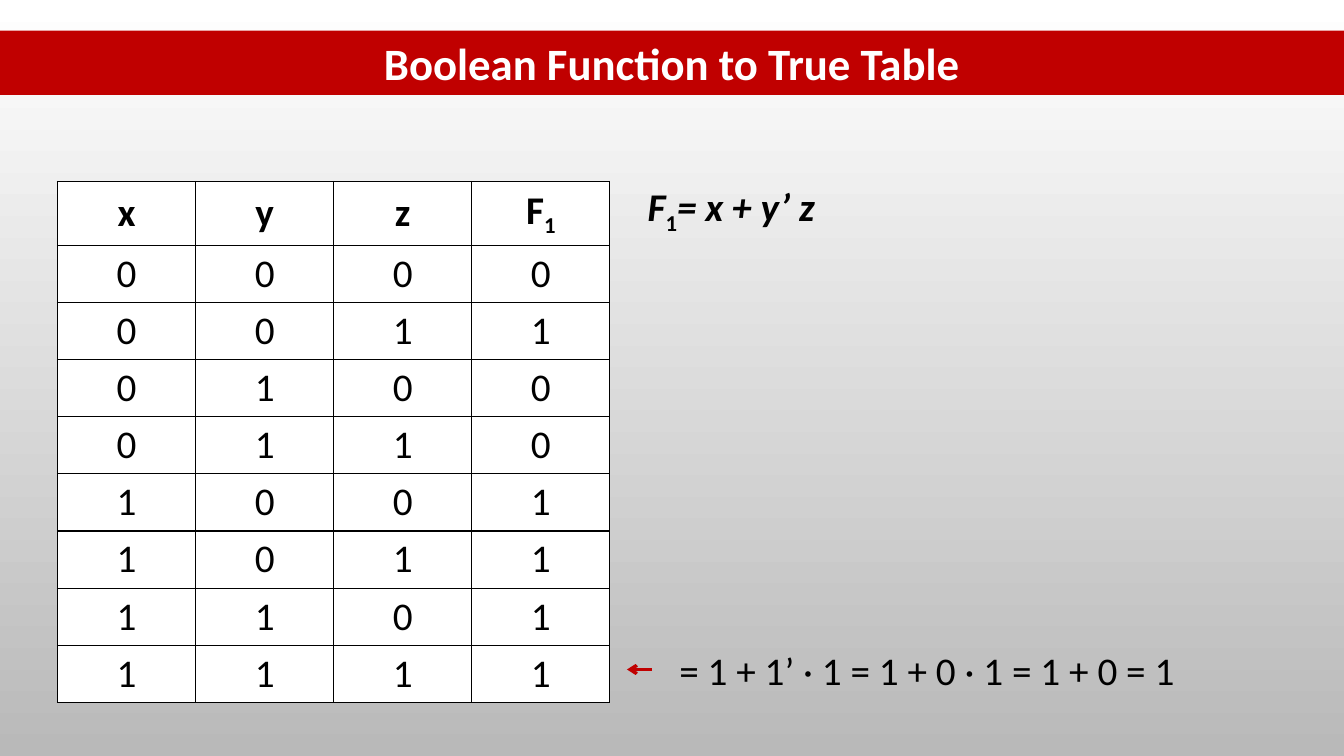
from itertools import product

from lxml import etree
from pptx import Presentation
from pptx.dml.color import RGBColor
from pptx.enum.shapes import MSO_CONNECTOR, MSO_SHAPE
from pptx.enum.text import MSO_ANCHOR, PP_ALIGN
from pptx.oxml import parse_xml
from pptx.oxml.ns import nsdecls, qn
from pptx.util import Cm, Pt

RECT = MSO_SHAPE.RECTANGLE
STRAIGHT = MSO_CONNECTOR.STRAIGHT
MIDDLE = MSO_ANCHOR.MIDDLE
CENTER, LEFT = PP_ALIGN.CENTER, PP_ALIGN.LEFT
COLORS = {"red": "C00000", "white": "FFFFFF", "black": "000000", "gray": "B9B9B9"}


def rgb(name):
    return RGBColor.from_string(COLORS[name])


def write(tf, runs, align=LEFT, color="black", **formats):
    p = tf.paragraphs[0]
    p.alignment = align
    for text, extra in runs:
        r = p.add_run()
        r.text = text
        values = {"name": "Calibri", "size": Pt(28), **formats, **extra}
        baseline = values.pop("baseline", None)
        for key, value in values.items():
            setattr(r.font, key, value)
        r.font.color.rgb = rgb(color)
        if baseline:
            r._r.get_or_add_rPr().set("baseline", baseline)
    return p


prs = Presentation()
prs.slide_width, prs.slide_height = Cm(33.87), Cm(19.05)
s = prs.slides.add_slide(prs.slide_layouts[6])

fill = s.background.fill
fill.gradient()
fill.gradient_angle = 270
for stop, position, name in zip(fill.gradient_stops, (0, 1), ("white", "gray")):
    stop.position = position
    stop.color.rgb = rgb(name)

sp = s.shapes.add_shape(RECT, 0, Cm(0.77), prs.slide_width, Cm(1.62))
sp.shadow.inherit = False
sp.fill.solid()
sp.fill.fore_color.rgb = rgb("red")
sp.line.fill.background()
sp.text_frame.vertical_anchor = MIDDLE
write(sp.text_frame, [("Boolean Function to True Table", {})],
      CENTER, "white", size=Pt(32), bold=True)

subscript = ("1", {"baseline": "-25000", "italic": False})
rows = [[[("x", {})], [("y", {})], [("z", {})], [("F", {}), subscript]]]
for x, y, z in product((0, 1), repeat=3):
    f1 = int(x or (not y and z))
    rows.append([[(str(v), {})] for v in (x, y, z, f1)])

HEADER, ROW, COLUMN = Cm(1.61), Cm(1.44), Cm(3.48)
table = s.shapes.add_table(len(rows), 4, Cm(1.45), Cm(4.57),
                           COLUMN * 4, HEADER + ROW * 8).table
for column in table.columns:
    column.width = COLUMN
for i, values in enumerate(rows):
    table.rows[i].height = ROW if i else HEADER
    for j, runs in enumerate(values):
        cell = table.cell(i, j)
        cell.vertical_anchor = MIDDLE
        cell.margin_top = cell.margin_bottom = Cm(0.1)
        write(cell.text_frame, runs, CENTER, bold=i == 0)
        tcPr = cell._tc.get_or_add_tcPr()
        for side in ("lnL", "lnR", "lnT", "lnB"):
            tcPr.append(parse_xml(
                f'<a:{side} {nsdecls("a")} w="12700"><a:solidFill>'
                f'<a:srgbClr val="{COLORS["black"]}"/></a:solidFill></a:{side}>'))
        cell.fill.solid()
        cell.fill.fore_color.rgb = rgb("white")

formula = [("F", {}), subscript, ("= x + y’ z", {})]
tf = s.shapes.add_textbox(Cm(15.57), Cm(4.47), Cm(5.77), Cm(1.45)).text_frame
tf.word_wrap = True
p = write(tf, formula, bold=True, italic=True)
p._p.get_or_add_pPr().set("marL", str(Cm(0.5)))

arrow = s.shapes.add_connector(STRAIGHT, Cm(16.43), Cm(16.87), Cm(15.8), Cm(16.87))
arrow.line.color.rgb = rgb("red")
arrow.line.width = Pt(2.25)
etree.SubElement(arrow.line._get_or_add_ln(), qn("a:tailEnd"), type="arrow")
etree.SubElement(arrow._element.spPr, qn("a:effectLst"))

tf = s.shapes.add_textbox(Cm(16.87), Cm(16.15), Cm(15.95), Cm(1.45)).text_frame
tf.word_wrap = True
write(tf, [("= 1 + 1’ · 1 = 1 + 0 · 1 = 1 + 0 = 1", {})])

prs.save("out.pptx")
